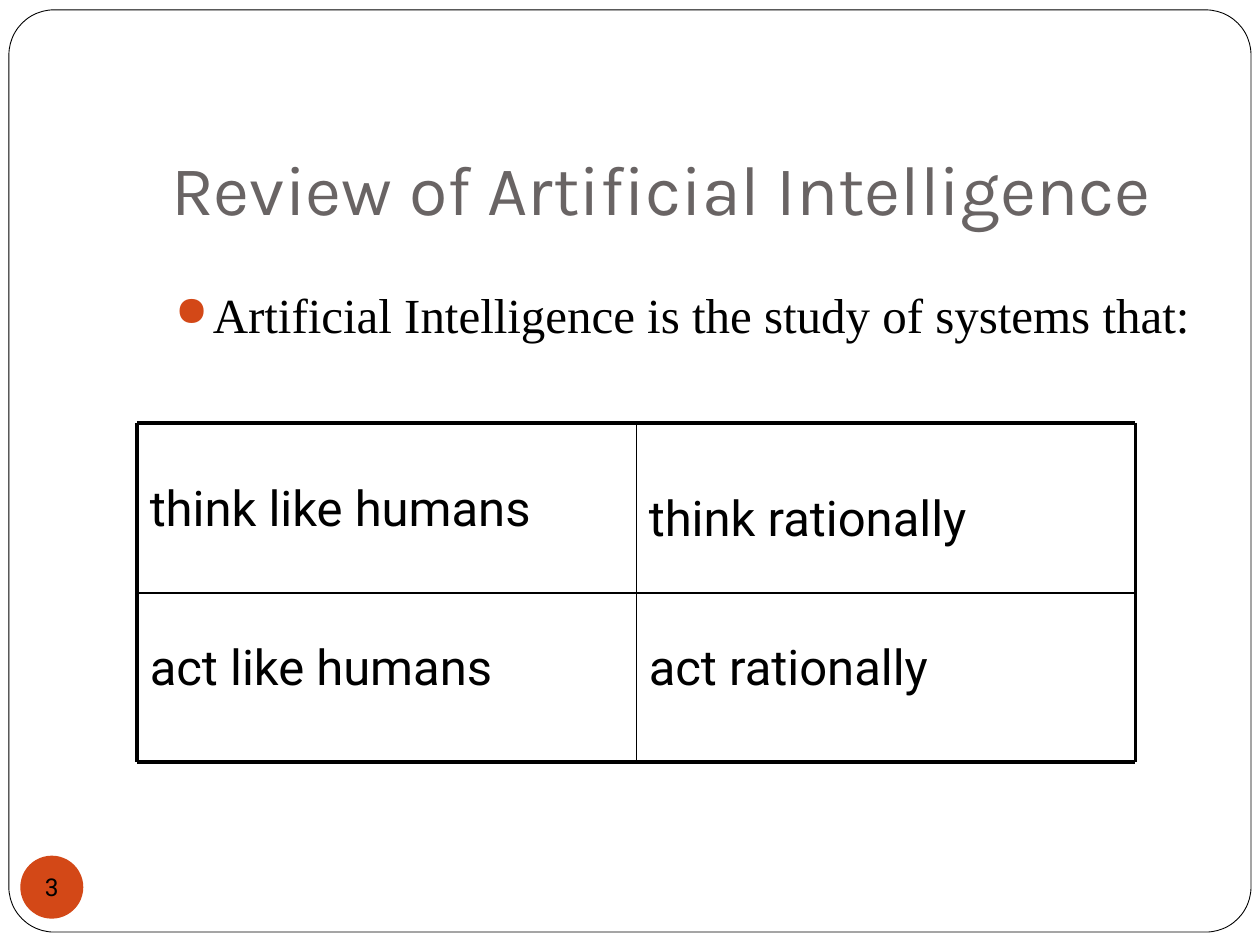
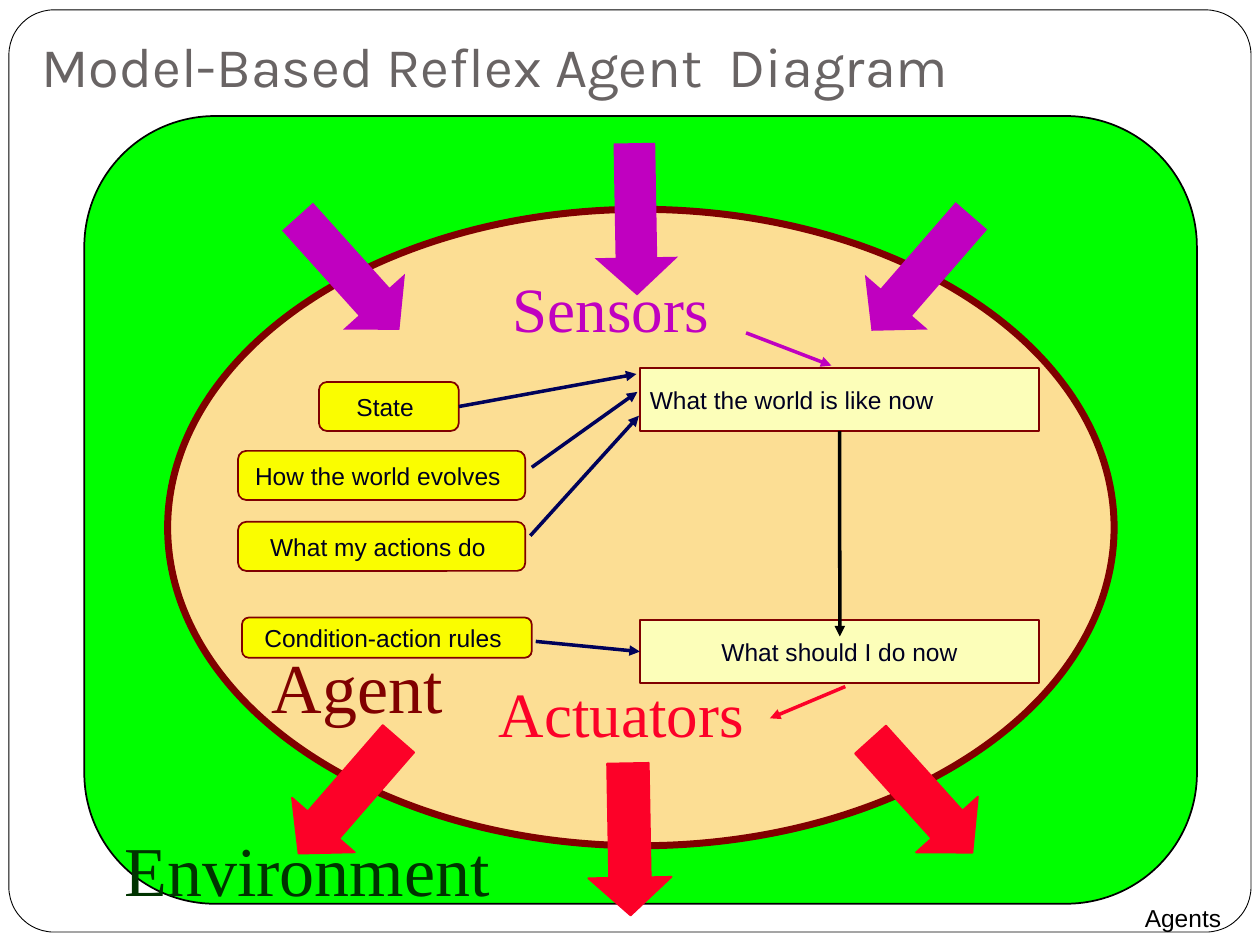
from lxml import etree
from pptx import Presentation
from pptx.dml.color import RGBColor
from pptx.enum.shapes import MSO_CONNECTOR, MSO_SHAPE
from pptx.enum.text import MSO_ANCHOR, MSO_AUTO_SIZE, PP_ALIGN
from pptx.oxml.ns import qn
from pptx.util import Cm, Pt

STRAIGHT = MSO_CONNECTOR.STRAIGHT
ROUNDED = MSO_SHAPE.ROUNDED_RECTANGLE
RECTANGLE = MSO_SHAPE.RECTANGLE
OVAL = MSO_SHAPE.OVAL
RIGHT_ARROW = MSO_SHAPE.RIGHT_ARROW
LEFT, CENTER, RIGHT = PP_ALIGN.LEFT, PP_ALIGN.CENTER, PP_ALIGN.RIGHT
TOP, MIDDLE, BOTTOM = MSO_ANCHOR.TOP, MSO_ANCHOR.MIDDLE, MSO_ANCHOR.BOTTOM
NO_AUTOFIT = MSO_AUTO_SIZE.NONE
SIDE_TOP, SIDE_LEFT, SIDE_BOTTOM, SIDE_RIGHT = range(4)

WHITE = RGBColor(0xFF, 0xFF, 0xFF)
BLACK = RGBColor(0x00, 0x00, 0x00)
GREY = RGBColor(0x69, 0x64, 0x64)
ORANGE = RGBColor(0xD3, 0x48, 0x17)
GREEN = RGBColor(0x00, 0xFF, 0x00)
DARK_GREEN = RGBColor(0x00, 0x33, 0x00)
SAND = RGBColor(0xFC, 0xDE, 0x94)
MAROON = RGBColor(0x80, 0x00, 0x00)
PURPLE = RGBColor(0xC0, 0x00, 0xC0)
RED = RGBColor(0xFC, 0x01, 0x28)
CREAM = RGBColor(0xFC, 0xFE, 0xB9)
YELLOW = RGBColor(0xFA, 0xFD, 0x00)
INK = RGBColor(0x00, 0x00, 0x20)
NAVY = RGBColor(0x00, 0x02, 0x5A)

SERIF = "Times New Roman"
TITLE_FONT = "Karla"
BODY_FONT = "Roboto"
LABEL_FONT = "Arial"

NO_INSETS = (0, 0, 0, 0)
CELL_INSETS = (0.25, 0.13, 0.25, 0.13)
TITLE_INSETS = (0.25, 0.13, 0.25, 0.25)
LABEL_INSETS = (0.1, 0, 0.1, 0)


def apply(target, values):
    for name, value in values.items():
        setattr(target, name, value)


class SlideMaker:
    def __init__(self, deck):
        self.deck = deck
        self.layout = deck.slide_layouts[5]
        self.page = None

    def new_page(self, title, at, size):
        self.page = self.deck.slides.add_slide(self.layout)
        box = self.page.shapes.title
        names = ("left", "top", "width", "height")
        apply(box, dict(zip(names, map(Cm, at))))
        self.fill_text(box, title, TITLE_FONT, size, GREY,
                       anchor=BOTTOM, insets=TITLE_INSETS)

    def add_frame(self):
        frame = self.shape(ROUNDED, (0.18, 0.2, 25.04, 18.59),
                           WHITE, BLACK, 0.5, (0.049,))
        frame.element.nvSpPr.cNvPr.set("id", "99")
        self.layout.shapes.element.insert(2, frame.element)

    def fill_text(self, box, text, font, size, color, align=LEFT,
                  anchor=TOP, insets=NO_INSETS, bullet=None):
        left, top, right, bottom = map(Cm, insets)
        apply(box.text_frame, {
            "word_wrap": True, "auto_size": NO_AUTOFIT,
            "vertical_anchor": anchor, "margin_left": left,
            "margin_top": top, "margin_right": right,
            "margin_bottom": bottom})
        para = box.text_frame.paragraphs[0]
        para.alignment = align
        if bullet:
            self.bullet(para, bullet)
        span = para.add_run()
        span.text = text
        apply(span.font, {"name": font, "size": Pt(size), "bold": False})
        span.font.color.rgb = color

    def bullet(self, para, color):
        props = para._p.get_or_add_pPr()
        props.set("marL", str(Cm(0.76)))
        props.set("indent", str(-Cm(0.76)))
        tint = etree.SubElement(props, qn("a:buClr"))
        etree.SubElement(tint, qn("a:srgbClr"), val=str(color))
        etree.SubElement(props, qn("a:buSzPct"), val="85000")
        etree.SubElement(props, qn("a:buChar"), char="●")

    def text(self, text, at, font, size, color, **style):
        box = self.page.shapes.add_textbox(*map(Cm, at))
        self.fill_text(box, text, font, size, color, **style)

    def shape(self, kind, at, fill, line=None, weight=1, adjust=(), turn=0):
        box = self.page.shapes.add_shape(kind, *map(Cm, at))
        box.shadow.inherit = False
        box.rotation = turn
        box.fill.solid()
        box.fill.fore_color.rgb = fill
        if line is None:
            box.line.fill.background()
        else:
            box.line.color.rgb = line
            box.line.width = Pt(weight)
        for index, value in enumerate(adjust):
            box.adjustments[index] = value
        return box

    def label(self, kind, text, at, fill, align=CENTER, insets=LABEL_INSETS):
        adjust = (0.166,) if kind == ROUNDED else ()
        box = self.shape(kind, at, fill, MAROON, adjust=adjust)
        self.fill_text(box, text, LABEL_FONT, 14, INK, align, MIDDLE, insets)
        return box

    def block_arrows(self, places, color, line=None):
        for left, top, turn in places:
            self.shape(RIGHT_ARROW, (left, top, 3.07, 1.68), color, line,
                       adjust=(0.5, 0.455), turn=turn)

    def line(self, ends, color, weight, arrow=False, start=None, end=None):
        link = self.page.shapes.add_connector(STRAIGHT, *map(Cm, ends))
        link.line.color.rgb = color
        link.line.width = Pt(weight)
        if start:
            link.begin_connect(*start)
        if end:
            link.end_connect(*end)
        props = link.element.spPr
        if arrow:
            etree.SubElement(props.find(qn("a:ln")), qn("a:tailEnd"),
                             type="triangle")
        etree.SubElement(props, qn("a:effectLst"))


def review_page(maker):
    maker.new_page("Review of Artificial Intelligence",
                   (3.2, 2.79, 21.64, 2.08), 40)
    maker.add_frame()
    badge = maker.shape(OVAL, (0.41, 17.25, 1.27, 1.27), ORANGE)
    maker.fill_text(badge, "3", BODY_FONT, 14, BLACK, CENTER, MIDDLE)
    maker.text("Artificial Intelligence is the study of systems that:",
               (3.28, 5.61, 21.59, 2.62), SERIF, 28, BLACK,
               insets=CELL_INSETS, bullet=ORANGE)

    left, top, column, row = 2.77, 8.53, 10.06, 3.42
    cells = [("think like humans", 0, 9.5), ("think rationally", 1, 9.7),
             ("act like humans", 0, 12.7), ("act rationally", 1, 12.7)]
    for text, index, cell_top in cells:
        maker.text(text, (left + index * column, cell_top, column, row),
                   BODY_FONT, 28, BLACK, insets=CELL_INSETS)
    right, bottom = left + 2 * column, top + 2 * row
    for index, weight in enumerate((2.25, 1, 2.25)):
        x, y = left + index * column, top + index * row
        maker.line((left, y, right, y), BLACK, weight)
        maker.line((x, top, x, bottom), BLACK, weight)


def agent_page(maker):
    maker.new_page("Model-Based Reflex Agent  Diagram",
                   (0.58, 0, 23.93, 2.24), 32)
    maker.text("Agents", (16.74, 18.21, 8.28, 0.84), LABEL_FONT, 14, BLACK,
               align=RIGHT, insets=(0, 0, 0.4, 0))
    maker.shape(ROUNDED, (1.7, 2.34, 22.43, 15.88), GREEN, BLACK,
                adjust=(0.166,))
    maker.shape(OVAL, (3.38, 4.22, 19.08, 12.83), SAND, MAROON, 4)

    maker.block_arrows([(5.49, 4.67, 48), (11.28, 3.58, 89),
                        (17.04, 4.67, 131)], PURPLE)
    maker.block_arrows([(5.49, 15.21, 131), (11.15, 16.08, 89),
                        (17.04, 15.21, 48)], RED, RED)
    for text, at, size, color in [
            ("Sensors", (10.24, 5.44, 4.88, 1.52), 36, PURPLE),
            ("Actuators", (9.96, 13.59, 6.05, 1.52), 36, RED),
            ("Agent", (5.38, 12.98, 4.14, 1.7), 40, MAROON),
            ("Environment", (2.41, 16.66, 9.14, 1.7), 40, DARK_GREEN)]:
        maker.text(text, at, SERIF, size, color, insets=LABEL_INSETS)

    world = maker.label(RECTANGLE, "What the world is like now",
                        (12.9, 7.42, 8.05, 1.27), CREAM, LEFT,
                        (0.2, 0, 0.1, 0))
    action = maker.label(RECTANGLE, "What should I do now",
                         (12.9, 12.5, 8.05, 1.27), CREAM)
    state, *_ = [
        maker.label(ROUNDED, text, at, YELLOW, insets=(0.1, 0.1, 0.25, 0.1))
        for text, at in [
            ("State", (6.43, 7.7, 2.82, 0.99)),
            ("How the world evolves", (4.8, 9.09, 5.79, 0.99)),
            ("What my actions do", (4.8, 10.52, 5.79, 0.99)),
            ("Condition-action rules", (4.88, 12.45, 5.84, 0.81))]]

    for ends, color, start, end in [
            ((15.04, 6.71, 16.76, 7.37), PURPLE, None, None),
            ((16.93, 8.69, 16.93, 12.83), BLACK, (world, SIDE_BOTTOM), None),
            ((17.04, 13.84, 15.52, 14.48), RED, None, None),
            ((9.25, 8.2, 12.83, 7.54), NAVY, (state, SIDE_RIGHT), None),
            ((10.72, 9.42, 12.85, 7.9), NAVY, None, None),
            ((10.69, 10.8, 12.88, 8.38), NAVY, None, None),
            ((10.8, 12.93, 12.9, 13.14), NAVY, None, (action, SIDE_LEFT))]:
        maker.line(ends, color, 2, True, start, end)


def main():
    deck = Presentation()
    deck.slide_width, deck.slide_height = Cm(25.4), Cm(19.05)
    maker = SlideMaker(deck)
    review_page(maker)
    agent_page(maker)
    deck.save("out.pptx")


if __name__ == "__main__":
    main()
